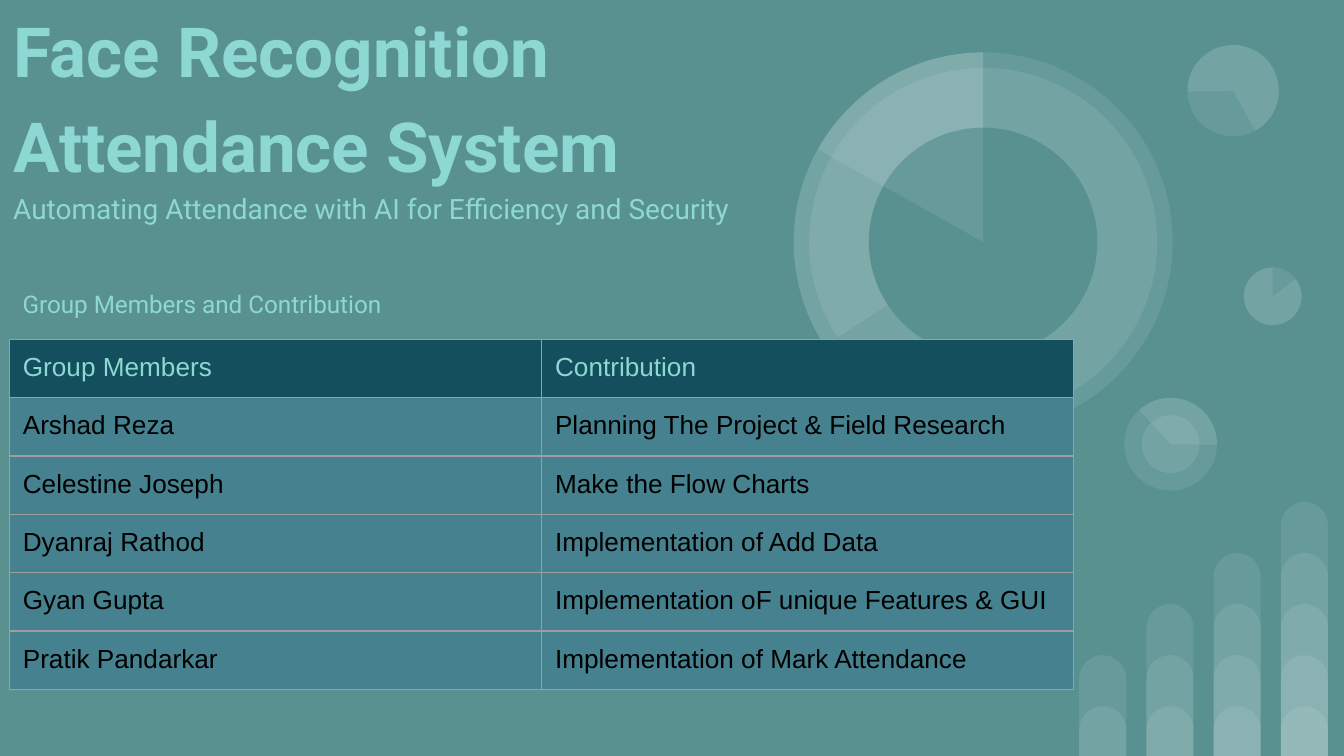
from lxml import etree
from pptx import Presentation, util as u
from pptx.dml.color import RGBColor
from pptx.enum import shapes, text
from pptx.oxml import ns

BACKGROUND, MINT, WHITE = "599191", "8DD8D3", "FFFFFF"
HEADER, BODY, BORDER, BLACK = "134F5C", "45818E", "9E9E9E", "000000"

# Widescreen slide, 16:9
presentation = Presentation()
presentation.slide_width = u.Inches(10)
presentation.slide_height = presentation.slide_width * 9 // 16
slide = presentation.slides.add_slide(presentation.slide_layouts[6])

# Square grid: 100 columns across the slide, 56.25 rows down it
unit = presentation.slide_width / 100
slide_rows = 56.25


def paint(fill, color):
    fill.solid()
    fill.fore_color.rgb = RGBColor.from_string(color)


def add_decoration(kind, column, row, columns, rows, adjustments=(), rotation=0, color=None):
    """Add a borderless shape, in translucent white unless a color is given."""
    shape = slide.shapes.add_shape(kind, *(round(n * unit) for n in (column, row, columns, rows)))
    shape.shadow.inherit = False
    shape.rotation = rotation
    shape.line.fill.background()
    for index, value in enumerate(adjustments):
        shape.adjustments[index] = value
    paint(shape.fill, color or WHITE)
    if color is None:
        white = shape._element.spPr.find(".//" + ns.qn("a:srgbClr"))
        etree.SubElement(white, ns.qn("a:alpha"), val="9000")


# Background
paint(slide.background.fill, BACKGROUND)

# Bars: each column stacks one more overlapping level than the one before
for bar in range(4):
    for level in range(1, bar + 3):
        height = 3.8 * level - 0.1
        add_decoration(shapes.MSO_SHAPE.ROUND_2_SAME_RECTANGLE, 80.3 + 5 * bar,
                       slide_rows - height, 3.5, height, (0.5, 0))

# Discs and pies: center column, center row, diameter, pie angles, rotation, color
discs = [
    (94.7, 22.05, 4.3, None, 0, None),
    (94.7, 22.05, 4.3, (193.77, 162), 0, None),
    (87.1, 33.05, 6.9, None, 0, None),
    (87.1, 33.05, 6.9, (82.45, 162.46), 90, None),
    (87.1, 33.05, 4.3, None, 0, None),
    (91.75, 6.75, 6.8, None, 0, None),
    (91.75, 6.75, 6.8, (193.77, 123.14), 215.9, None),
    (73.15, 18, 28.2, None, 0, None),
    (73.15, 18, 25.9, None, 0, None),
    (73.15, 18, 28.2, (88.01, 162), 0, None),
    (73.15, 18, 17, None, 0, BACKGROUND),
    (73.15, 18, 28.2, (125.54, 162), 0, None),
]
for column, row, diameter, angles, rotation, color in discs:
    kind = shapes.MSO_SHAPE.PIE if angles else shapes.MSO_SHAPE.OVAL
    add_decoration(kind, column - diameter / 2, row - diameter / 2, diameter, diameter,
                   angles or (), rotation, color)

# Headings: words, box, size, bold, line spacing, space before and after, anchor
top, middle = text.MSO_ANCHOR.TOP, text.MSO_ANCHOR.MIDDLE
headings = [
    ("Face Recognition Attendance System", (0, 0.7, 52.9, 12.2), 37, True, 1.15, 24, 6, middle),
    ("Automating Attendance with AI for Efficiency and Security",
     (0, 12.9, 69.9, 7.6), 15, False, 1.15, 12, 12, top),
    ("Group Members and Contribution", (0.7, 20.5, 68.5, 4.2), 13, False, 1, 0, 0, top),
]
for words, box, size, bold, spacing, before, after, anchor in headings:
    frame = slide.shapes.add_textbox(*(round(n * unit) for n in box)).text_frame
    frame.word_wrap = True
    frame.vertical_anchor = anchor
    frame.margin_left = frame.margin_right = frame.margin_top = frame.margin_bottom = round(unit)
    frame.text = words
    paragraph = frame.paragraphs[0]
    paragraph.line_spacing = spacing
    paragraph.space_before, paragraph.space_after = u.Pt(before), u.Pt(after)
    font = paragraph.runs[0].font
    font.name, font.size, font.bold = "Roboto", u.Pt(size), bold
    paint(font.fill, MINT)

# Table of members and contributions
members = [
    ("Group Members", "Contribution"),
    ("Arshad Reza", "Planning The Project & Field Research"),
    ("Celestine Joseph", "Make the Flow Charts"),
    ("Dyanraj Rathod", "Implementation of Add Data"),
    ("Gyan Gupta", "Implementation oF unique Features & GUI"),
    ("Pratik Pandarkar", "Implementation of Mark Attendance"),
]
table = slide.shapes.add_table(len(members), 2, *(
    round(n * unit) for n in (0.7, 25.25, 2 * 39.6, len(members) * 4.2))).table
for row, entries in enumerate(members):
    for column, words in enumerate(entries):
        cell = table.cell(row, column)
        cell.margin_left = cell.margin_right = cell.margin_top = cell.margin_bottom = round(unit)
        cell.text_frame.text = words
        font = cell.text_frame.paragraphs[0].runs[0].font
        font.name, font.size, font.bold = "Arial", u.Pt(14), False
        paint(font.fill, BLACK if row else MINT)
        properties = cell._tc.get_or_add_tcPr()
        for side in ("lnL", "lnR", "lnT", "lnB"):
            line = etree.SubElement(properties, ns.qn("a:" + side), w=str(u.Pt(0.75)))
            solid = etree.SubElement(line, ns.qn("a:solidFill"))
            etree.SubElement(solid, ns.qn("a:srgbClr"), val=BORDER)
        paint(cell.fill, BODY if row else HEADER)

presentation.save("out.pptx")
